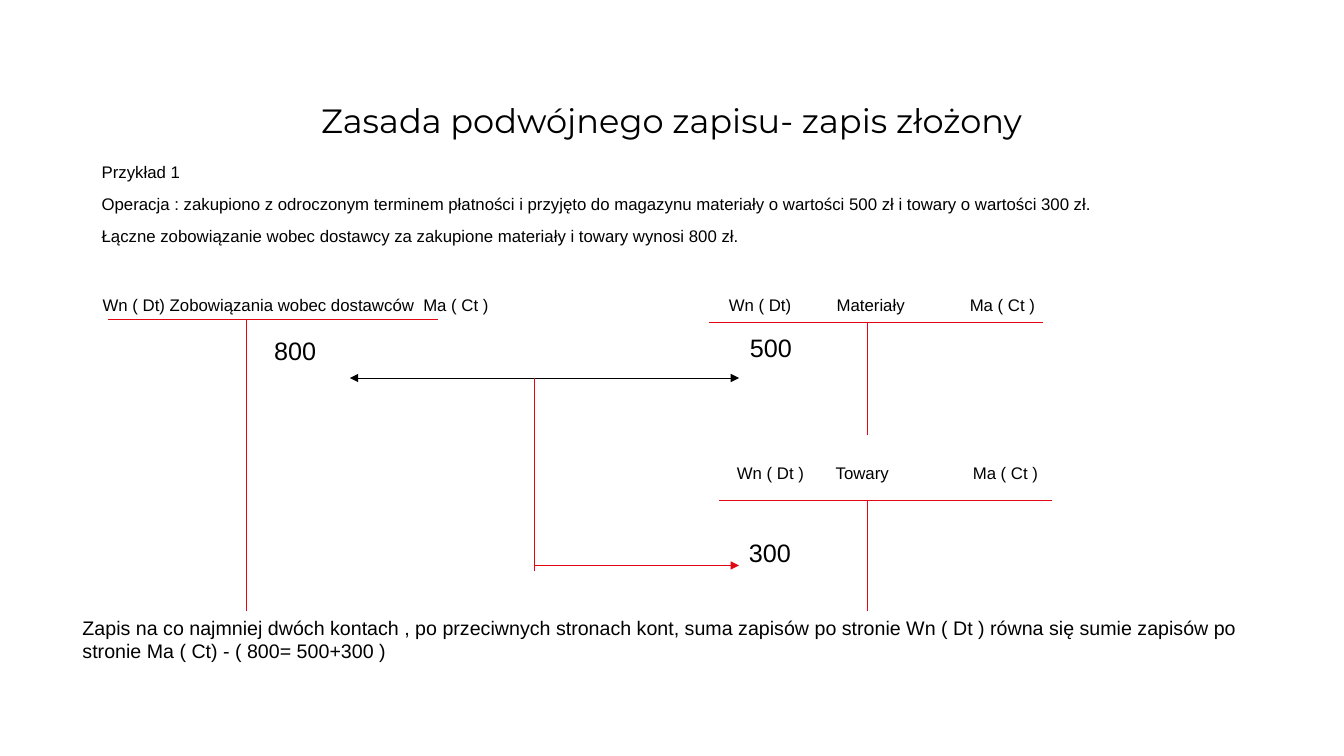
from lxml import etree
from pptx import Presentation
from pptx import util as u
from pptx.dml.color import RGBColor
from pptx.enum import shapes, text
from pptx.oxml import ns

PX = 9144
RED, BLACK = "E30613", "000000"


def px(n):
    return u.Emu(n * PX)


def tint(code):
    return RGBColor.from_string(code)


def node(root, tag, **attrs):
    return etree.SubElement(root, ns.qn(tag), attrs)


class Sheet:
    font = "Arial"
    head = "Montserrat"
    thin = u.Pt(0.5)

    def __init__(self, deck):
        self.slide = deck.slides.add_slide(deck.slide_layouts[5])

    def run(self, para, words, size, font=None):
        run = para.add_run()
        run.text = words
        run.font.size = u.Pt(size)
        run.font.name = font or self.font
        run.font.color.rgb = tint(BLACK)

    def title(self, words, x, y, w, h):
        box = self.slide.shapes.title
        box.left, box.top, box.width, box.height = map(px, (x, y, w, h))
        frame = box.text_frame
        frame.auto_size = text.MSO_AUTO_SIZE.NONE
        frame.vertical_anchor = text.MSO_ANCHOR.BOTTOM
        para = frame.paragraphs[0]
        para.alignment = text.PP_ALIGN.CENTER
        para.line_spacing = 0.9
        self.run(para, words, 24, self.head)

    def text(self, lines, x, y, w, h, size, tabs=(), gap=0, lead=1.0):
        frame = self.slide.shapes.add_textbox(*map(px, (x, y, w, h))).text_frame
        frame.word_wrap = True
        for i, words in enumerate(lines):
            para = frame.add_paragraph() if i else frame.paragraphs[0]
            para.line_spacing = lead
            if i:
                para.space_before = u.Pt(gap)
            if tabs:
                stops = node(para._p.get_or_add_pPr(), "a:tabLst")
                for stop in tabs:
                    node(stops, "a:tab", pos=str(px(stop)), algn="l")
            self.run(para, words, size)

    def line(self, x1, y1, x2, y2, color=RED, ends=()):
        link = self.slide.shapes.add_connector(
            shapes.MSO_CONNECTOR.STRAIGHT, *map(px, (x1, y1, x2, y2)))
        link.line.color.rgb = tint(color)
        link.line.width = self.thin
        props = link._element.spPr
        for end in ends:
            node(props.find(ns.qn("a:ln")), end, type="triangle")
        node(props, "a:effectLst")

    def account(self, left, right, top, stem, foot):
        self.line(left, top, right, top)
        self.line(stem, top, stem, foot)


def main():
    deck = Presentation()
    deck.slide_width, deck.slide_height = px(1333), px(750)
    sheet = Sheet(deck)

    sheet.title("Zasada podwójnego zapisu- zapis złożony", 91, 94, 1150, 51)
    sheet.text([
        "Przykład 1",
        "Operacja : zakupiono z odroczonym terminem płatności i przyjęto do "
        "magazynu materiały o wartości 500 zł i towary o wartości 300 zł.",
        "Łączne zobowiązanie wobec dostawcy za zakupione materiały i towary "
        "wynosi 800 zł.",
    ], 91, 158, 1150, 474, 12, gap=10, lead=0.9)

    for spot in [(107, 434, 317, 244, 606),
                 (703, 1034, 320, 860, 432),
                 (713, 1043, 496, 860, 606)]:
        sheet.account(*spot)

    for words, x, y, w, tabs in [
        ("Wn ( Dt) Zobowiązania wobec dostawców\tMa ( Ct )", 92, 287, 404, [318]),
        ("Wn ( Dt)\tMateriały\tMa ( Ct )", 713, 287, 346, [107, 239]),
        ("Wn ( Dt )\tTowary\tMa ( Ct )", 721, 454, 331, [98, 234]),
    ]:
        sheet.text([words], x, y, w, 30, 12, tabs)

    sheet.line(347, 375, 733, 375, BLACK, ["a:headEnd", "a:tailEnd"])
    sheet.line(530, 375, 530, 566)
    sheet.line(530, 561, 733, 561, ends=["a:tailEnd"])

    for value, x, y in [("800", 262, 328), ("500", 734, 325), ("300", 733, 528)]:
        sheet.text([value], x, y, 110, 40, 18)

    sheet.text([
        "Zapis na co najmniej dwóch kontach , po przeciwnych stronach kont, "
        "suma zapisów po stronie Wn ( Dt ) równa się sumie zapisów po stronie "
        "Ma ( Ct) - ( 800= 500+300 )",
    ], 72, 606, 1220, 57, 14)

    deck.save("out.pptx")


if __name__ == "__main__":
    main()
